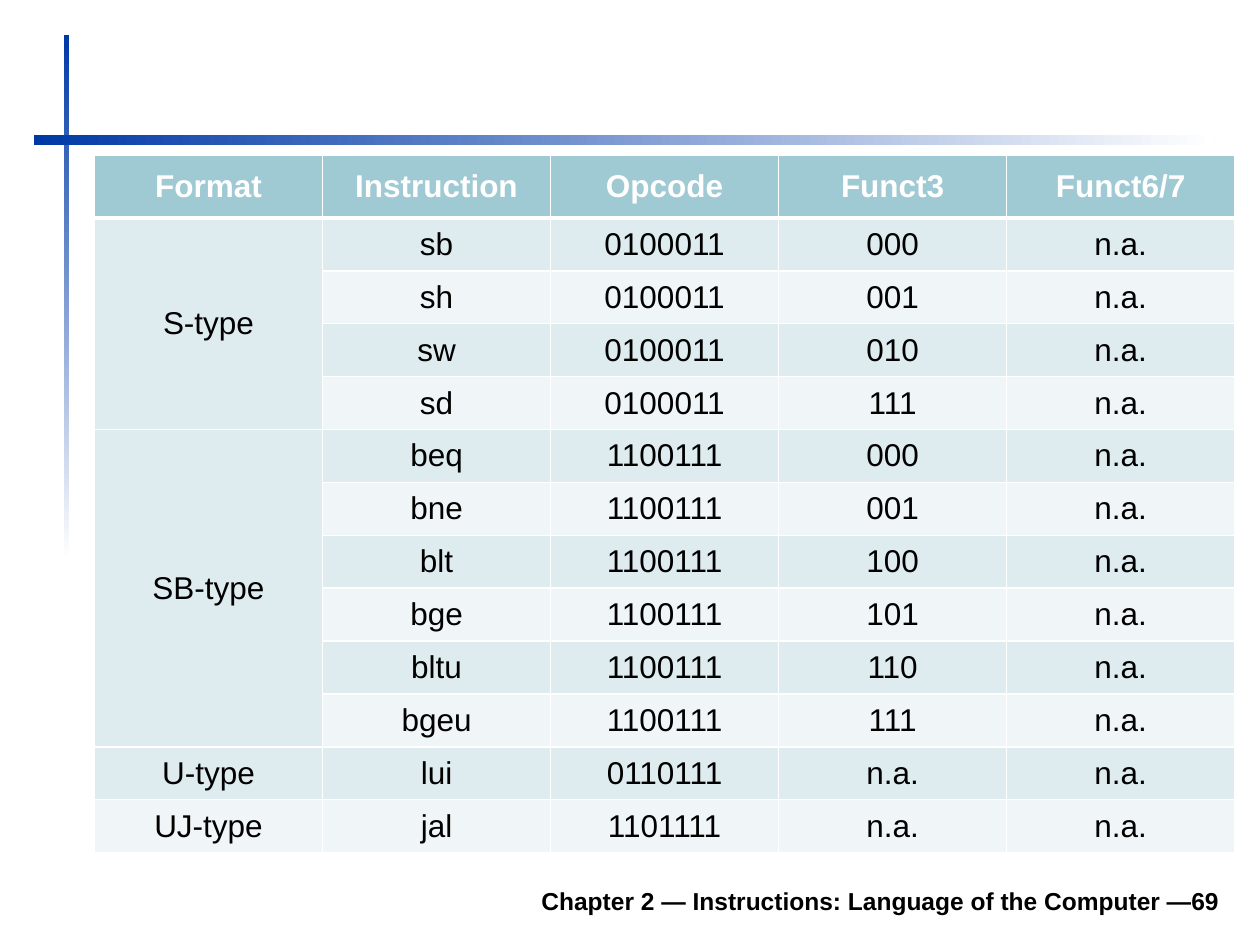
from lxml import etree
from pptx import Presentation
from pptx import util as u
from pptx.dml.color import RGBColor
from pptx.enum import shapes, text
from pptx.oxml.ns import qn

HEADER = ["Format", "Instruction", "Opcode", "Funct3", "Funct6/7"]
# format, opcode, [(instruction, funct3), ...]
FORMATS = [
    ("S-type", "0100011",
     [("sb", "000"), ("sh", "001"), ("sw", "010"), ("sd", "111")]),
    ("SB-type", "1100111",
     [("beq", "000"), ("bne", "001"), ("blt", "100"),
      ("bge", "101"), ("bltu", "110"), ("bgeu", "111")]),
    ("U-type", "0110111", [("lui", "n.a.")]),
    ("UJ-type", "1101111", [("jal", "n.a.")]),
]
FUNCT7 = "n.a."
FOOTER = "Chapter 2 — Instructions: Language of the Computer —69"

# left, top, width, height, gradient angle (counter-clockwise)
RULES = [(0.51, 0.28, 0.04, 4.17, 270), (0.27, 1.07, 9.37, 0.08, 0)]
TABLE_LEFT, TABLE_TOP, TABLE_WIDTH = 0.75, 1.23, 9.05
HEADER_HEIGHT, ROW_HEIGHT = 0.5, 0.42

FONT = "Arial"
BLUE = RGBColor(0x00, 0x39, 0xA6)
WHITE = RGBColor(0xFF, 0xFF, 0xFF)
BLACK = RGBColor(0x00, 0x00, 0x00)
TEAL = RGBColor(0x9F, 0xCA, 0xD3)
BANDS = [RGBColor(0xDF, 0xEC, 0xEF), RGBColor(0xF0, 0xF6, 0xF7)]


def style(paragraph, size, color, bold, alignment):
    paragraph.alignment = alignment
    font = paragraph.font
    font.name, font.size, font.bold = FONT, u.Pt(size), bold
    font.color.rgb = color


def add_rule(slide, left, top, width, height, angle):
    """Add a thin bar that fades from blue to white."""
    bar = slide.shapes.add_shape(
        shapes.MSO_SHAPE.RECTANGLE,
        *(u.Inches(length) for length in (left, top, width, height)))
    bar.shadow.inherit = False
    bar.line.fill.background()
    bar.fill.gradient()
    bar.fill.gradient_angle = angle
    for stop, color in zip(bar.fill.gradient_stops, (BLUE, WHITE)):
        stop.color.rgb = color


def set_borders(cell, top=1, bottom=1):
    properties = cell._tc.get_or_add_tcPr()
    for side, width in (("L", 1), ("R", 1), ("T", top), ("B", bottom)):
        line = etree.SubElement(properties, qn(f"a:ln{side}"), w=str(u.Pt(width)))
        fill = etree.SubElement(line, qn("a:solidFill"))
        etree.SubElement(fill, qn("a:srgbClr"), val=str(WHITE))


def add_table(slide):
    rows = [HEADER]
    spans = []
    for name, opcode, instructions in FORMATS:
        spans.append((len(rows), len(instructions)))
        for index, (instruction, funct3) in enumerate(instructions):
            rows.append(["" if index else name, instruction, opcode, funct3, FUNCT7])

    height = HEADER_HEIGHT + ROW_HEIGHT * (len(rows) - 1)
    table = slide.shapes.add_table(
        len(rows), len(HEADER), u.Inches(TABLE_LEFT), u.Inches(TABLE_TOP),
        u.Inches(TABLE_WIDTH), u.Inches(height)).table

    for r, values in enumerate(rows):
        is_header = r == 0
        table.rows[r].height = u.Inches(HEADER_HEIGHT if is_header else ROW_HEIGHT)
        for c, value in enumerate(values):
            cell = table.cell(r, c)
            set_borders(cell, top=3 if r == 1 else 1, bottom=3 if is_header else 1)
            cell.fill.solid()
            cell.fill.fore_color.rgb = TEAL if is_header else BANDS[(r - 1) % 2]
            cell.vertical_anchor = text.MSO_ANCHOR.MIDDLE
            cell.text = value
            style(cell.text_frame.paragraphs[0], 18, WHITE if is_header else BLACK,
                  is_header, text.PP_ALIGN.CENTER)

    for first, count in spans:
        if count > 1:
            table.cell(first, 0).merge(table.cell(first + count - 1, 0))


def add_footer(slide):
    box = slide.shapes.add_textbox(
        u.Inches(2.88), u.Inches(6.95), u.Inches(6.9), u.Inches(0.4))
    frame = box.text_frame
    frame.word_wrap = True
    frame.vertical_anchor = text.MSO_ANCHOR.MIDDLE
    frame.text = FOOTER
    style(frame.paragraphs[0], 14, BLACK, True, text.PP_ALIGN.RIGHT)


def main():
    presentation = Presentation()
    presentation.slide_width, presentation.slide_height = u.Inches(10), u.Inches(7.5)
    slide = presentation.slides.add_slide(presentation.slide_layouts[6])
    for rule in RULES:
        add_rule(slide, *rule)
    add_table(slide)
    add_footer(slide)
    presentation.save("out.pptx")


if __name__ == "__main__":
    main()
